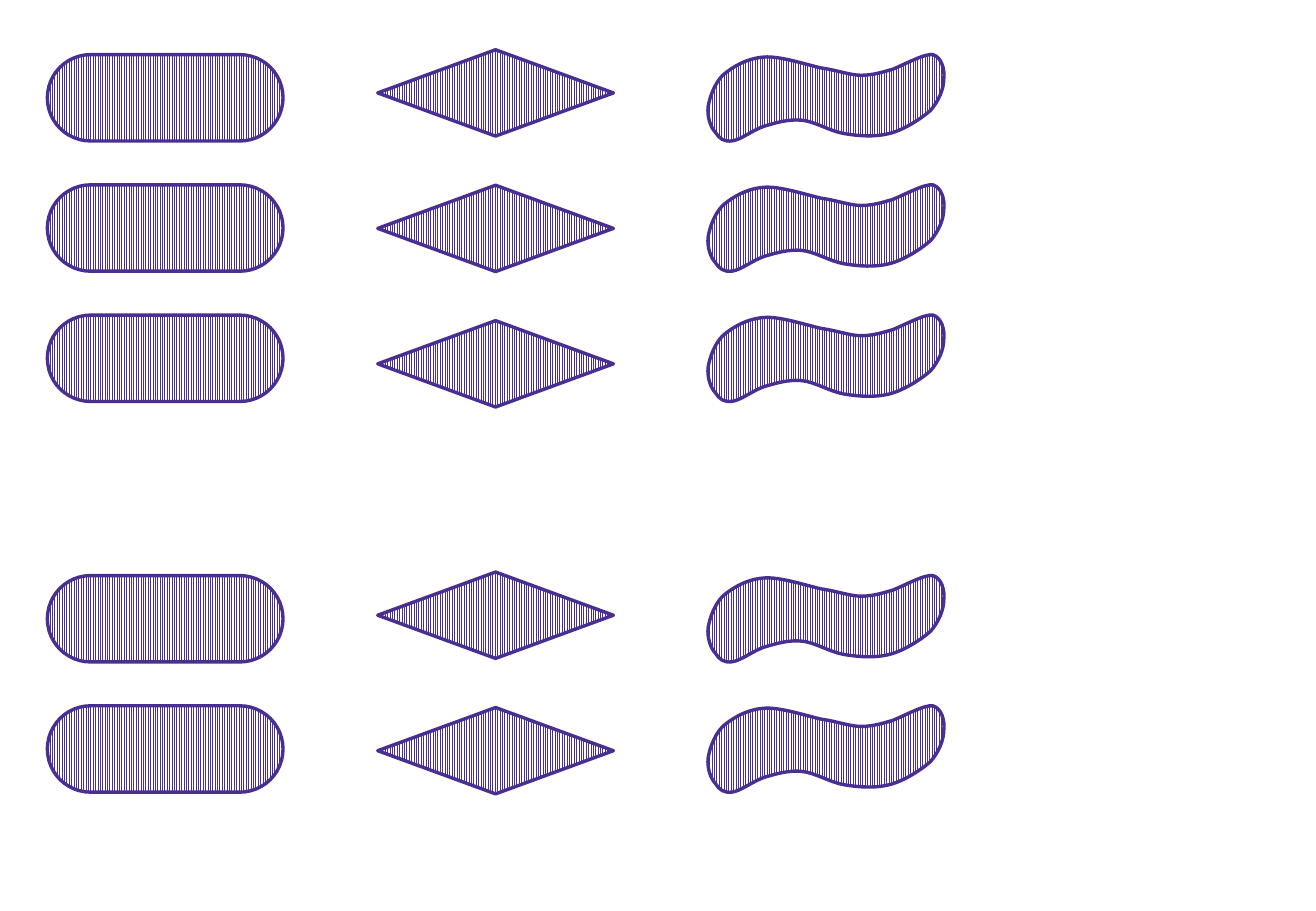
from dataclasses import dataclass

from pptx import Presentation
from pptx.dml.color import RGBColor
from pptx.enum.dml import MSO_PATTERN
from pptx.enum.shapes import MSO_SHAPE
from pptx.oxml.ns import qn
from pptx.shapes.autoshape import Shape
from pptx.shapes.shapetree import GroupShapes
from pptx.util import Pt

PILL = MSO_SHAPE.ROUNDED_RECTANGLE
DIAMOND = MSO_SHAPE.DIAMOND
STRIPES = MSO_PATTERN.LIGHT_VERTICAL

PURPLE = RGBColor(0x49, 0x2F, 0x92)
WHITE = RGBColor(0xFF, 0xFF, 0xFF)

WIDTH, HEIGHT = 139.68, 51.2
LEFT, COLUMN_PITCH = 28.08, 195.84
BLOCK_ROWS = (3, 2)

# Wave outline: start point, then three points for each Bezier curve
WAVE_UNIT = Pt(0.72)
WAVE = [
    (126, 17),
    (117, 17), (107, 13), (93, 11),
    (80, 8), (59, 1), (46, 2),
    (32, 3), (20, 10), (12, 17),
    (5, 24), (1, 36), (0, 43),
    (-1, 51), (2, 60), (6, 64),
    (9, 69), (13, 72), (20, 71),
    (27, 70), (37, 62), (46, 59),
    (56, 56), (66, 53), (77, 54),
    (88, 55), (100, 63), (112, 65),
    (124, 67), (137, 68), (149, 65),
    (161, 62), (175, 53), (183, 46),
    (190, 38), (194, 28), (194, 20),
    (195, 12), (192, 2), (185, 0),
    (178, -1), (162, 8), (152, 12),
    (145, 14), (136, 17), (126, 17),
]


@dataclass
class Column:
    preset: MSO_SHAPE | None  # None stands for the wave
    block_tops: tuple[float, float]
    row_pitch: float


COLUMNS = [
    Column(PILL, (32.4, 341.2), 77.2),
    Column(DIAMOND, (29.5, 339.1), 80.3),
    Column(None, (32.4, 341.2), 77.2),
]


def add_wave(shapes: GroupShapes, left: float, top: float) -> Shape:
    builder = shapes.build_freeform(*WAVE[0], scale=WAVE_UNIT)
    builder.add_line_segments(WAVE[1:], close=True)
    sp = builder.convert_to_shape(Pt(left), Pt(top))
    # Join each three line segments into one Bezier curve
    segments = list(sp._element.iter(qn("a:lnTo")))
    for i in range(0, len(segments), 3):
        curve, *others = segments[i:i + 3]
        curve.tag = qn("a:cubicBezTo")
        for segment in others:
            curve.append(segment[0])
            segment.getparent().remove(segment)
    return sp


def add_preset(shapes: GroupShapes, preset: MSO_SHAPE, left: float, top: float) -> Shape:
    sp = shapes.add_shape(preset, Pt(left), Pt(top), Pt(WIDTH), Pt(HEIGHT))
    if preset == PILL:
        sp.adjustments[0] = 0.5
    return sp


def style(sp: Shape) -> None:
    sp.shadow.inherit = False
    sp.fill.patterned()
    sp.fill.pattern = STRIPES
    sp.fill.fore_color.rgb = PURPLE
    sp.fill.back_color.rgb = WHITE
    sp.line.color.rgb = PURPLE
    sp.line.width = Pt(2)


def main() -> None:
    prs = Presentation()
    prs.slide_width, prs.slide_height = Pt(780), Pt(540)
    slide = prs.slides.add_slide(prs.slide_layouts[6])

    # One group for each block of each column
    for block, rows in enumerate(BLOCK_ROWS):
        for index, column in enumerate(COLUMNS):
            group = slide.shapes.add_group_shape()
            left = LEFT + index * COLUMN_PITCH
            for row in range(rows):
                top = column.block_tops[block] + row * column.row_pitch
                if column.preset is None:
                    sp = add_wave(group.shapes, left, top)
                else:
                    sp = add_preset(group.shapes, column.preset, left, top)
                style(sp)

    prs.save("out.pptx")


if __name__ == "__main__":
    main()
